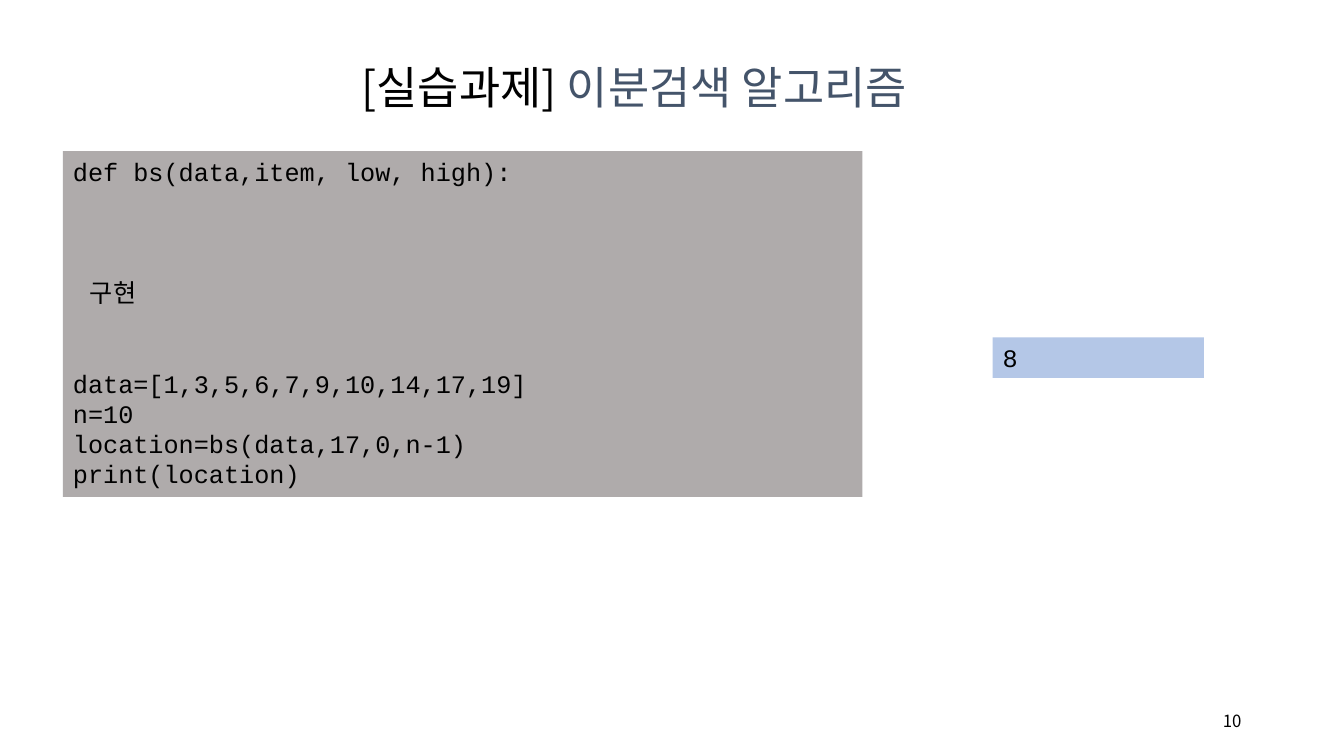
from pptx import Presentation
from pptx.dml.color import RGBColor
from pptx.enum.shapes import MSO_SHAPE as SHAPE
from pptx.enum.text import MSO_ANCHOR as ANCHOR, MSO_AUTO_SIZE as AUTO, PP_ALIGN as ALIGN
from pptx.oxml.ns import qn
from pptx.util import Pt

BLACK = RGBColor(0x00, 0x00, 0x00)
SLATE = RGBColor(0x44, 0x54, 0x6A)
GRAY = RGBColor(0xAF, 0xAB, 0xAB)
BLUE = RGBColor(0xB4, 0xC7, 0xE7)
KOREAN = "Noto Sans CJK KR"
MONO = "Courier New"
LINE = 21.6

# Each line with the number of empty lines above it
CODE = [
    ("def bs(data,item, low, high):", 0),
    ("   구현", 3),
    ("data=[1,3,5,6,7,9,10,14,17,19]", 2),
    ("n=10", 0),
    ("location=bs(data,17,0,n-1)", 0),
    ("print(location)", 0),
]


def add_text(p, text, font=KOREAN, size=18, color=BLACK, align=ALIGN.LEFT):
    p.alignment = align
    r = p.add_run()
    r.text = text
    r.font.name, r.font.size, r.font.color.rgb = font, Pt(size), color
    east_asian = r.font._element.makeelement(qn("a:ea"), {"typeface": KOREAN})
    r.font._element.find(qn("a:latin")).addnext(east_asian)


def set_frame(sp, anchor):
    tf = sp.text_frame
    tf.word_wrap = True
    tf.auto_size = AUTO.NONE
    tf.vertical_anchor = anchor
    return tf


def add_title(s, x, y, w, h):
    sp = s.shapes.title
    sp.left, sp.top, sp.width, sp.height = Pt(x), Pt(y), Pt(w), Pt(h)
    p = set_frame(sp, ANCHOR.TOP).paragraphs[0]
    add_text(p, "[실습과제] ", size=32)
    add_text(p, "이분검색 알고리즘", size=32, color=SLATE)


def add_code_box(s, lines, fill, x, y, w, h):
    sp = s.shapes.add_shape(SHAPE.RECTANGLE, Pt(x), Pt(y), Pt(w), Pt(h))
    sp.shadow.inherit = False
    sp.fill.solid()
    sp.fill.fore_color.rgb = fill
    sp.line.fill.background()
    tf = set_frame(sp, ANCHOR.TOP)
    for i, (text, gap) in enumerate(lines):
        p = tf.add_paragraph() if i else tf.paragraphs[0]
        p.line_spacing = Pt(LINE)
        if gap:
            p.space_before = Pt(gap * LINE)
        add_text(p, text, font=MONO)


def add_page_number(s, number, x, y, w, h):
    sp = s.shapes.add_textbox(Pt(x), Pt(y), Pt(w), Pt(h))
    p = set_frame(sp, ANCHOR.MIDDLE).paragraphs[0]
    add_text(p, number, size=12, align=ALIGN.RIGHT)


def main():
    prs = Presentation()
    prs.slide_width, prs.slide_height = Pt(960), Pt(540)
    s = prs.slides.add_slide(prs.slide_layouts[5])
    add_title(s, 251, 39, 458, 48)
    add_code_box(s, CODE, GRAY, 45, 108, 571, 247)
    add_code_box(s, [("8", 0)], BLUE, 709, 241, 151, 29)
    add_page_number(s, "10", 861, 500, 33, 29)
    prs.save("out.pptx")


if __name__ == "__main__":
    main()
